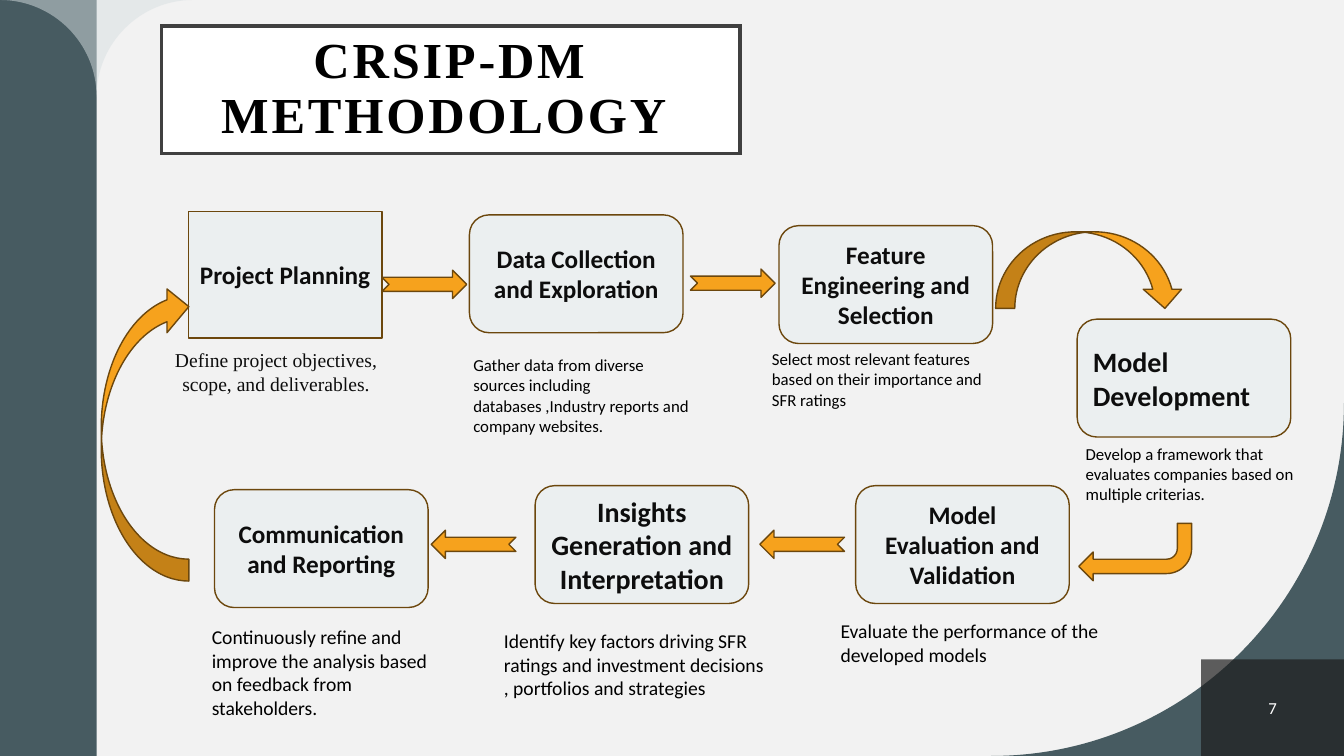
from pptx import Presentation
from pptx.dml.color import RGBColor
from pptx.enum import shapes, text
from pptx.oxml.ns import qn
from pptx.util import Pt
from lxml import etree

SHAPE = shapes.MSO_SHAPE
ALIGN = text.PP_ALIGN
SLATE, PALE, ORANGE, BROWN, INK = "475B61", "EBEFF0", "F6A21D", "6C470D", "0D0D0D"


def paint(sp, fill, line=None, width=1, alpha=None):
    sp.shadow.inherit = False
    sp.fill.solid()
    sp.fill.fore_color.rgb = RGBColor.from_string(fill)
    if alpha:
        clr = sp.fill._xPr.find(qn("a:solidFill"))[0]
        etree.SubElement(clr, qn("a:alpha")).set("val", str(alpha * 1000))
    if line:
        sp.line.color.rgb = RGBColor.from_string(line)
        sp.line.width = Pt(width)
    else:
        sp.line.fill.background()


def write(sp, words, size, color, font="Calibri", bold=False, align=ALIGN.CENTER,
          anchor=text.MSO_ANCHOR.MIDDLE):
    tf = sp.text_frame
    tf.word_wrap = True
    tf.vertical_anchor = anchor
    p = tf.paragraphs[0]
    p.alignment = align
    r = p.add_run()
    r.text = words
    r.font.size = Pt(size)
    r.font.name = font
    r.font.bold = bold
    r.font.color.rgb = RGBColor.from_string(color)
    return p, r


prs = Presentation()
prs.slide_width, prs.slide_height = Pt(960), Pt(540)
s = prs.slides.add_slide(prs.slide_layouts[5])
s.background.fill.solid()
s.background.fill.fore_color.rgb = RGBColor.from_string("F2F2F2")

# Side bar
sp = s.shapes.add_shape(SHAPE.RECTANGLE, 0, 0, Pt(69), Pt(540))
paint(sp, SLATE)

# Rounded corners: outline, number of its sides that are quarter circles,
# the corner they bend towards, top left of the shape, fill, opacity
corners = [
    ([(138, 0), (69, 69), (0, 0)], 2, (69, 0), (0, 0), "D7DFE1", 50),
    ([(960, 288), (708, 540), (960, 540)], 1, (960, 540), (708, 288), SLATE, None),
]
for outline, curves, corner, origin, fill, alpha in corners:
    fb = s.shapes.build_freeform(*outline[0], scale=Pt(1))
    fb.add_line_segments(outline[1:], close=True)
    sp = fb.convert_to_shape()
    sides = list(sp.element.iter(qn("a:lnTo")))
    for side, a, b in list(zip(sides, outline, outline[1:]))[:curves]:
        side.tag = qn("a:cubicBezTo")
        for i, end in enumerate((a, b)):
            x, y = (round(e + (c - e) * 0.55) - o for e, c, o in zip(end, corner, origin))
            pt = etree.Element(qn("a:pt"), x=str(x), y=str(y))
            side.insert(i, pt)
    paint(sp, fill, alpha=alpha)

# Title, raised above the decoration
sp = s.shapes.title
s.shapes.element.append(sp.element)
sp.left, sp.top, sp.width, sp.height = Pt(115.2), Pt(18.7), Pt(413.5), Pt(90.8)
sp.fill.solid()
sp.fill.fore_color.rgb = RGBColor.from_string("FFFFFF")
sp.line.color.rgb = RGBColor.from_string("404040")
sp.line.width = Pt(2.5)
etree.SubElement(sp.element.spPr.find(qn("a:ln")), qn("a:miter")).set("lim", "800000")
tf = sp.text_frame
tf.auto_size = text.MSO_AUTO_SIZE.NONE
tf.margin_left = tf.margin_right = tf.margin_top = tf.margin_bottom = Pt(14.4)
p, r = write(sp, "CRSIP-DM METHODOLOGY ", 36, "000000", "Times New Roman", True)
p.line_spacing = 0.9
r.font._element.set("spc", "200")

# Slide number
sp = s.shapes.add_shape(SHAPE.RECTANGLE, Pt(858), Pt(471), Pt(102), Pt(69))
paint(sp, "1D1D1D", alpha=70)
write(sp, "7", 12, "FFFFFF")

# Process steps
sp = s.shapes.add_shape(SHAPE.RECTANGLE, Pt(134.6), Pt(151.2), Pt(138.2), Pt(90.2))
paint(sp, PALE, BROWN)
write(sp, "Project Planning", 18, INK, bold=True)

steps = [
    ("Data Collection and Exploration", 335.3, 153.5, 18, ALIGN.CENTER),
    ("Feature Engineering and Selection", 556.4, 161.2, 18, ALIGN.CENTER),
    ("Model Development", 769.4, 228, 20, ALIGN.LEFT),
    ("Communication and Reporting", 153.2, 349.8, 18, ALIGN.CENTER),
    ("Insights Generation and Interpretation", 382.2, 346.9, 20, ALIGN.CENTER),
    ("Model Evaluation and Validation", 611.2, 346.9, 18, ALIGN.CENTER),
]
for words, x, y, size, align in steps:
    sp = s.shapes.add_shape(SHAPE.ROUNDED_RECTANGLE, Pt(x), Pt(y), Pt(152.6), Pt(84.2))
    paint(sp, PALE, BROWN)
    write(sp, words, size, INK, bold=True, align=align)

# Arrows between the steps
arrows = [
    (SHAPE.NOTCHED_RIGHT_ARROW, 272.9, 193, 60.5, 20.2, 0),
    (SHAPE.NOTCHED_RIGHT_ARROW, 493.2, 192.2, 60.5, 20.2, 0),
    (SHAPE.NOTCHED_RIGHT_ARROW, 308, 378.7, 60.5, 20.2, 180),
    (SHAPE.NOTCHED_RIGHT_ARROW, 542.7, 378.7, 60.5, 20.2, 180),
    (SHAPE.CURVED_DOWN_ARROW, -2.2, 277.9, 211.7, 62.6, 270),
    (SHAPE.CURVED_DOWN_ARROW, 711.2, 165.6, 134.6, 54.7, 0),
    (SHAPE.BENT_ARROW, 770.6, 373.8, 80.6, 41, 180),
]
for kind, x, y, w, h, turn in arrows:
    sp = s.shapes.add_shape(kind, Pt(x), Pt(y), Pt(w), Pt(h))
    sp.rotation = turn
    paint(sp, ORANGE, BROWN)

# Step descriptions
TIMES, CALIBRI = ("Times New Roman", INK, ALIGN.CENTER), ("Calibri", "000000", ALIGN.LEFT)
notes = [
    ("Define project objectives, scope, and deliverables.", 110.9, 245.2, 172.8, 41, 14, TIMES),
    ("Gather data from diverse sources including databases ,Industry reports and "
     "company websites.", 331, 250, 172.8, 65.5, 12, CALIBRI),
    ("Select most relevant features based on their importance and SFR ratings",
     544.3, 245.7, 172.8, 51, 12, CALIBRI),
    ("Evaluate the performance of the developed models",
     593.3, 438.7, 202.3, 41, 14, CALIBRI),
    ("Identify key factors driving SFR ratings and investment decisions , portfolios "
     "and strategies", 352.8, 445.7, 202.3, 75, 14, CALIBRI),
    ("Continuously refine and improve the analysis based on feedback from stakeholders.",
     144.2, 442.9, 177.8, 75, 14, CALIBRI),
    ("Develop a framework that evaluates companies based on multiple criterias.",
     768.4, 313.2, 172.8, 51, 12, CALIBRI),
]
for words, x, y, w, h, size, (font, color, align) in notes:
    sp = s.shapes.add_textbox(Pt(x), Pt(y), Pt(w), Pt(h))
    write(sp, words, size, color, font, align=align, anchor=text.MSO_ANCHOR.TOP)
    sp.text_frame.auto_size = text.MSO_AUTO_SIZE.SHAPE_TO_FIT_TEXT

prs.save("out.pptx")
